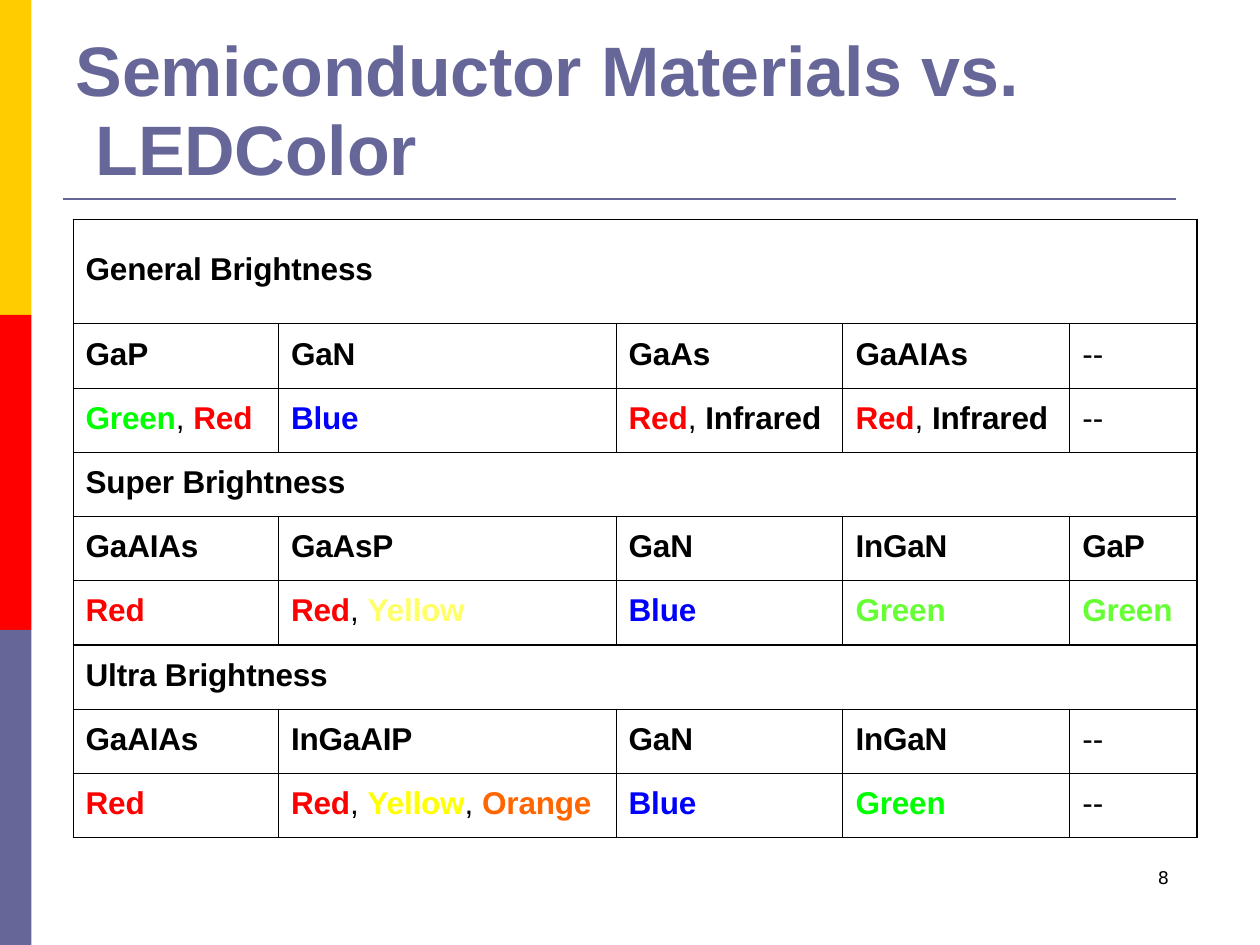
from dataclasses import dataclass, field

from pptx import Presentation
from pptx.dml.color import RGBColor
from pptx.enum.shapes import MSO_CONNECTOR as Connector, MSO_SHAPE as Shape
from pptx.enum.text import MSO_ANCHOR as Anchor
from pptx.oxml.ns import qn
from pptx.oxml.xmlchemy import OxmlElement
from pptx.util import Inches, Pt


@dataclass(frozen=True)
class Theme:
    font: str = "Arial"
    number_font: str = "DejaVu Sans"
    title_size: int = 40
    table_size: int = 18
    number_size: int = 10
    ink: str = "000000"
    accent: str = "666698"
    bands: tuple = ("FFCC00", "FF0000", "666698")
    lights: dict = field(default_factory=lambda: {
        "Red": "FF0000", "Green": "00FF00", "Blue": "0000FF",
        "Yellow": "FFFF00", "Orange": "FF6600"})
    pale_lights: dict = field(default_factory=lambda: {
        "Yellow": "FFFF66", "Green": "66FF33"})


THEME = Theme()
WIDTH, HEIGHT = Inches(10), Inches(7.5)
COLUMNS = (16.3, 26.8, 18, 18, 10.1)
HEADING_ROW, ROW = 11.07, 6.8
NONE = "--"

SECTIONS = (
    ("General Brightness", {},
     ("GaP", "GaN", "GaAs", "GaAIAs", NONE),
     ("Green, Red", "Blue", "Red, Infrared", "Red, Infrared", NONE)),
    ("Super Brightness", THEME.pale_lights,
     ("GaAIAs", "GaAsP", "GaN", "InGaN", "GaP"),
     ("Red", "Red, Yellow", "Blue", "Green", "Green")),
    ("Ultra Brightness", {},
     ("GaAIAs", "InGaAIP", "GaN", "InGaN", NONE),
     ("Red", "Red, Yellow, Orange", "Blue", "Green", NONE)),
)


def across(percent):
    return round(WIDTH * percent / 100)


def down(percent):
    return round(HEIGHT * percent / 100)


def write(para, text, *, size, color=THEME.ink, font=THEME.font, bold=False):
    span = para.add_run()
    span.text = text
    span.font.name = font
    span.font.size = Pt(size)
    span.font.bold = bold
    span.font.color.rgb = RGBColor.from_string(color)
    if bold:
        span.font._element.set("spc", "-10")


def indent(para, left, first=0):
    properties = para._p.get_or_add_pPr()
    properties.set("marL", str(Inches(left)))
    properties.set("indent", str(Inches(first)))


def add_band(page, row, color):
    band = page.shapes.add_shape(
        Shape.RECTANGLE, 0, HEIGHT * row // 3, across(2.5), HEIGHT // 3)
    band.shadow.inherit = False
    band.fill.solid()
    band.fill.fore_color.rgb = RGBColor.from_string(color)
    band.line.fill.background()


def add_rule(page, left, right, top):
    rule = page.shapes.add_connector(
        Connector.STRAIGHT, across(left), down(top), across(right), down(top))
    rule.line.color.rgb = RGBColor.from_string(THEME.accent)
    rule.line.width = Pt(1.5)
    rule._element.spPr.append(OxmlElement("a:effectLst"))


def add_text(page, text, left, top, width, height, *, inset, before,
             hanging=0, line_height=None, **style):
    box = page.shapes.add_textbox(
        across(left), down(top), across(width), down(height))
    frame = box.text_frame
    frame.word_wrap = True
    frame.margin_left = frame.margin_right = frame.margin_bottom = 0
    frame.margin_top = Inches(inset)
    para = frame.paragraphs[0]
    para.space_before = Pt(before)
    if line_height:
        para.line_spacing = Pt(line_height)
    indent(para, 0.01 + hanging, -hanging)
    write(para, text, **style)


def add_borders(cell):
    properties = cell._tc.get_or_add_tcPr()
    for position, side in enumerate(("a:lnL", "a:lnR", "a:lnT", "a:lnB")):
        line = OxmlElement(side)
        line.set("w", str(Pt(0.75)))
        fill = OxmlElement("a:solidFill")
        color = OxmlElement("a:srgbClr")
        color.set("val", THEME.ink)
        fill.append(color)
        line.append(fill)
        properties.insert(position, line)


def fill_cell(cell, text, lights, inset=0.1):
    cell.margin_left = cell.margin_right = cell.margin_bottom = 0
    cell.margin_top = Inches(inset)
    cell.vertical_anchor = Anchor.TOP
    para = cell.text_frame.paragraphs[0]
    para.space_before = Pt(7.5)
    indent(para, 0.1)
    for index, word in enumerate(text.split(", ")):
        if index:
            write(para, ", ", size=THEME.table_size)
        write(para, word, size=THEME.table_size, bold=word != NONE,
              color=lights.get(word, THEME.ink))


def add_materials_table(page, left, top):
    heights = [HEADING_ROW] + [ROW] * (3 * len(SECTIONS) - 1)
    frame = page.shapes.add_table(
        len(heights), len(COLUMNS), across(left), down(top),
        across(sum(COLUMNS)), down(sum(heights)))
    table = frame.table
    table.first_row = table.horz_banding = False
    frame._element.find(".//" + qn("a:tableStyleId")).text = (
        "{2D5ABB26-0587-4C30-8999-92F81FD0307C}")
    for column, width in zip(table.columns, COLUMNS):
        column.width = across(width)
    for row, height in zip(table.rows, heights):
        row.height = down(height)
    for cell in table.iter_cells():
        cell.fill.background()
        add_borders(cell)
    for section, (heading, changes, *rows) in enumerate(SECTIONS):
        start = 3 * section
        lights = THEME.lights | changes
        title = table.cell(start, 0)
        title.merge(table.cell(start, len(COLUMNS) - 1))
        fill_cell(title, heading, lights, inset=0.1 if section else 0.26)
        for row, texts in enumerate(rows, start + 1):
            for column, text in enumerate(texts):
                fill_cell(table.cell(row, column), text, lights)


def main():
    deck = Presentation()
    deck.slide_width, deck.slide_height = WIDTH, HEIGHT
    page = deck.slides.add_slide(deck.slide_layouts[6])
    for row, color in enumerate(THEME.bands):
        add_band(page, row, color)
    add_rule(page, 5, 93.3, 21.07)
    add_text(page, "Semiconductor Materials vs. LEDColor", 5.9, 2.53, 75.6, 17.6,
             inset=0.07, before=5.2, hanging=0.16, line_height=44.7,
             size=THEME.title_size, color=THEME.accent, bold=True)
    add_text(page, "8", 91.8, 91.6, 2.6, 2.67, inset=0.01, before=1.1,
             hanging=-0.03, size=THEME.number_size, font=THEME.number_font)
    add_materials_table(page, 5.8, 23.2)
    deck.save("out.pptx")


if __name__ == "__main__":
    main()
